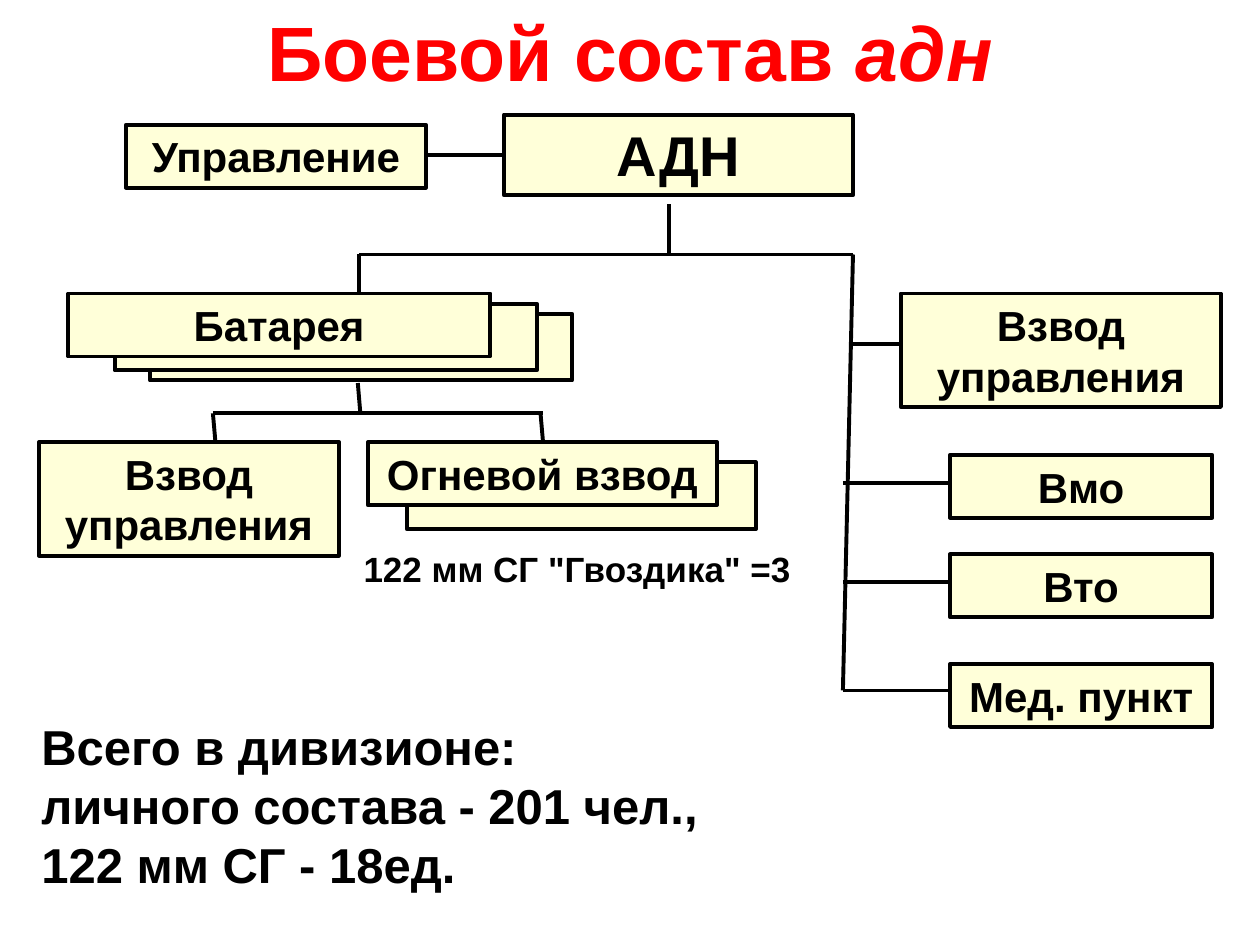
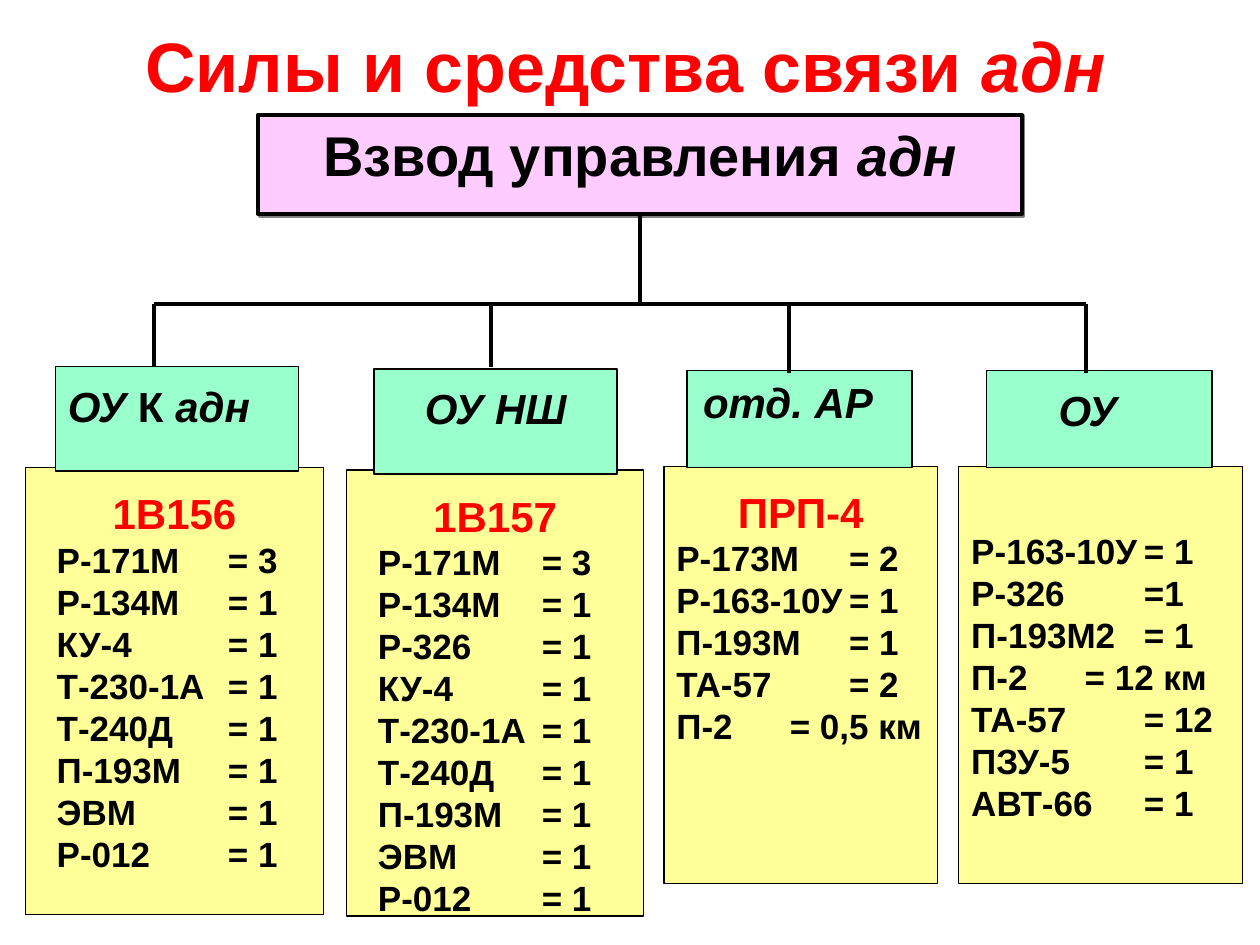
from lxml.etree import SubElement
from pptx import Presentation
from pptx.dml.color import RGBColor
from pptx.enum.shapes import MSO_CONNECTOR, MSO_SHAPE
from pptx.enum.text import MSO_ANCHOR, MSO_AUTO_SIZE, PP_ALIGN
from pptx.oxml.ns import qn
from pptx.util import Inches, Pt

RED = RGBColor(0xFF, 0x00, 0x00)
BLACK = RGBColor(0x00, 0x00, 0x00)
CREAM = RGBColor(0xFF, 0xFF, 0xD9)
PINK = RGBColor(0xFF, 0xCC, 0xFF)
MINT = RGBColor(0x99, 0xFF, 0xCC)
YELLOW = RGBColor(0xFF, 0xFF, 0x99)
FONT = "Arial"
TITLE_ONLY = 5

UNITS = [
    ((4, 0.91, 2.77, 0.64), "АДН", 32),
    ((1.19, 2.49, 3.35, 0.53), "", 24),
    ((0.91, 2.41, 3.35, 0.53), "", 24),
    ((0.54, 2.33, 3.35, 0.5), "Батарея", 24),
    ((7.15, 2.33, 2.54, 0.9), "Взвод управления", 24),
    ((7.54, 3.61, 2.08, 0.5), "Вмо", 24),
    ((7.54, 4.4, 2.08, 0.5), "Вто", 24),
    ((7.54, 5.27, 2.08, 0.5), "Мед. пункт", 24),
    ((1, 0.99, 2.38, 0.5), "Управление", 24),
    ((0.31, 3.51, 2.38, 0.9), "Взвод управления", 24),
    ((3.23, 3.67, 2.77, 0.53), "", 24),
    ((2.92, 3.51, 2.77, 0.5), "Огневой взвод", 24),
]
LINKS = [
    (3.38, 1.23, 4, 1.23),
    (2.85, 2.02, 6.77, 2.02),
    (5.31, 2.02, 5.31, 1.62),
    (1.69, 3.28, 4.31, 3.28),
    (1.71, 3.51, 1.69, 3.28),
    (4.31, 3.51, 4.29, 3.28),
    (2.86, 3.28, 2.84, 3.04),
    (2.85, 2.33, 2.85, 2.02),
    (6.69, 5.48, 6.77, 2.02),
    (6.77, 2.73, 7.15, 2.73),
] + [(6.69, y, 7.54, y) for y in (3.83, 4.62, 5.48)]

CARDS = [
    {"body": (0.2, 3.71, 2.37, 3.55), "inset": (0.25, 0.16, 0.25), "stop": 1.36,
     "head": (0.44, 2.91, 1.93, 0.83), "name": "*ОУ* К *адн*",
     "pad": (0.1, 0.11, 0.1), "align": PP_ALIGN.LEFT,
     "drop": (1.22, 2.91), "kit": "1В156",
     "rows": ["Р-171М\t= 3", "Р-134М\t= 1", "КУ-4\t= 1", "Т-230-1А\t= 1",
              "Т-240Д\t= 1", "П-193М\t= 1", "ЭВМ\t= 1", "Р-012\t= 1"]},
    {"body": (2.75, 3.73, 2.36, 3.54), "inset": (0.25, 0.16, 0.25), "stop": 1.3,
     "head": (2.97, 2.93, 1.93, 0.83), "name": "*ОУ НШ*",
     "pad": (0.1, 0.11, 0.1), "align": PP_ALIGN.CENTER,
     "drop": (3.9, 2.91), "kit": "1В157",
     "rows": ["Р-171М\t= 3", "Р-134М\t= 1", "Р-326\t= 1", "КУ-4\t= 1",
              "Т-230-1А\t= 1", "Т-240Д\t= 1", "П-193М\t= 1", "ЭВМ\t= 1",
              "Р-012\t= 1"]},
    {"body": (5.27, 3.7, 2.17, 3.31), "inset": (0.1, 0.16, 0.1), "stop": 1.37,
     "head": (5.45, 2.94, 1.79, 0.77), "name": "*отд. АР*",
     "pad": (0.1, 0.05, 0.28), "align": PP_ALIGN.CENTER,
     "drop": (6.26, 2.96), "kit": "ПРП-4",
     "rows": ["Р-173М\t= 2", "Р-163-10У\t= 1", "П-193М\t= 1", "ТА-57\t= 2",
              "П-2\t= 0,5 км"]},
    {"body": (7.61, 3.7, 2.25, 3.31), "inset": (0.1, 0.5, 0.1), "stop": 1.37,
     "head": (7.83, 2.94, 1.79, 0.77), "name": "*ОУ*",
     "pad": (0.1, 0.11, 0.28), "align": PP_ALIGN.CENTER,
     "drop": (8.62, 2.96), "kit": "",
     "rows": ["Р-163-10У\t= 1", "Р-326\t=1", "П-193М2\t= 1", "П-2\t= 12 км",
              "ТА-57\t= 12", "ПЗУ-5\t= 1", "АВТ-66\t= 1"]},
]
KM_STOP = 0.9
BUS = 2.41


def write(para, text, size, color=BLACK, align=PP_ALIGN.CENTER):
    """Fill a paragraph with bold text; parts between asterisks are italic."""
    para.alignment = align
    font = para.font
    font.name, font.size, font.bold = FONT, Pt(size), True
    font.color.rgb = color
    for i, part in enumerate(text.split("*")):
        if part:
            run = para.add_run()
            run.text = part
            if i % 2:
                run.font.italic = True


def set_frame(frame, pad=(0.1, 0.05, 0.1)):
    """Wrap text from the top with left, top and right insets."""
    frame.word_wrap = True
    frame.auto_size = MSO_AUTO_SIZE.NONE
    frame.vertical_anchor = MSO_ANCHOR.TOP
    frame.margin_left, frame.margin_top, frame.margin_right = map(Inches, pad)
    frame.margin_bottom = Inches(0.05)


def add_box(slide, place, fill, width=2.25, pad=(0.1, 0.05, 0.1)):
    """Add an outlined rectangle."""
    box = slide.shapes.add_shape(MSO_SHAPE.RECTANGLE, *map(Inches, place))
    box.shadow.inherit = False
    box.fill.solid()
    box.fill.fore_color.rgb = fill
    box.line.color.rgb = BLACK
    box.line.width = Pt(width)
    set_frame(box.text_frame, pad)
    return box


def add_label(slide, place, text, size, align):
    """Add a plain text box."""
    frame = slide.shapes.add_textbox(*map(Inches, place)).text_frame
    set_frame(frame)
    write(frame.paragraphs[0], text, size, align=align)


def add_link(slide, ends):
    """Draw a straight black line."""
    link = slide.shapes.add_connector(MSO_CONNECTOR.STRAIGHT, *map(Inches, ends))
    link.line.color.rgb = BLACK
    link.line.width = Pt(2.25)
    SubElement(link._element.spPr, qn("a:effectLst"))


def add_shade(box):
    """Give a box a hard grey shadow to the lower right."""
    effects = box._element.spPr.find(qn("a:effectLst"))
    shade = SubElement(effects, qn("a:outerShdw"), dist=str(Pt(1.4)),
                       dir="2700000", algn="ctr", rotWithShape="0")
    SubElement(shade, qn("a:srgbClr"), val="808080")


def set_stop(para, place):
    """Add a left tab stop to a paragraph."""
    tabs = SubElement(para._p.get_or_add_pPr(), qn("a:tabLst"))
    SubElement(tabs, qn("a:tab"), pos=str(Inches(place)), algn="l")


def new_slide(deck, title, place, size):
    """Add a slide with a red title."""
    slide = deck.slides.add_slide(deck.slide_layouts[TITLE_ONLY])
    shape = slide.shapes.title
    shape.left, shape.top, shape.width, shape.height = map(Inches, place)
    set_frame(shape.text_frame)
    write(shape.text_frame.paragraphs[0], title, size, RED)
    return slide


def add_card(slide, card):
    """Add a unit with its list of radio gear."""
    frame = add_box(slide, card["body"], YELLOW, 0.75, card["inset"]).text_frame
    para = frame.paragraphs[0]
    if card["kit"]:
        write(para, card["kit"], 24, RED)
        para = frame.add_paragraph()
    for i, row in enumerate(card["rows"]):
        if i:
            para = frame.add_paragraph()
        set_stop(para, KM_STOP if row.endswith("км") else card["stop"])
        write(para, row, 20, align=PP_ALIGN.LEFT)
    head = add_box(slide, card["head"], MINT, 1, card["pad"])
    write(head.text_frame.paragraphs[0], card["name"], 24, align=card["align"])
    x, end = card["drop"]
    add_link(slide, (x, BUS, x, end))


def add_staff(deck):
    """Build the slide with the unit chart."""
    slide = new_slide(deck, "Боевой состав *адн*", (0, 0.13, 10, 0.69), 44)
    slide.shapes.title.text_frame.paragraphs[0].line_spacing = 0.8
    for place, text, size in UNITS:
        box = add_box(slide, place, CREAM)
        if text:
            write(box.text_frame.paragraphs[0], text, size)
    for ends in LINKS:
        add_link(slide, ends)
    add_label(slide, (2.77, 4.3, 3.62, 0.44), '122 мм СГ "Гвоздика" =3', 20,
              PP_ALIGN.CENTER)
    add_label(slide, (0.23, 5.64, 5.54, 1.57),
              "Всего в дивизионе: личного состава - 201 чел., 122 мм СГ - 18ед.",
              28, PP_ALIGN.LEFT)


def add_radio(deck):
    """Build the slide with the signal gear."""
    slide = new_slide(deck, "Силы и средства связи *адн*",
                      (0.22, 0.13, 9.49, 0.75), 40)
    top = add_box(slide, (2.05, 0.91, 6.06, 0.79), PINK)
    add_shade(top)
    write(top.text_frame.paragraphs[0], "Взвод управления *адн*", 32)
    add_link(slide, (CARDS[0]["drop"][0], BUS, CARDS[-1]["drop"][0], BUS))
    add_link(slide, (5.08, BUS, 5.08, 1.7))
    for card in CARDS:
        add_card(slide, card)


def main():
    """Build and save the deck."""
    deck = Presentation()
    deck.slide_width, deck.slide_height = Inches(10), Inches(7.5)
    add_staff(deck)
    add_radio(deck)
    deck.save("out.pptx")


if __name__ == "__main__":
    main()
